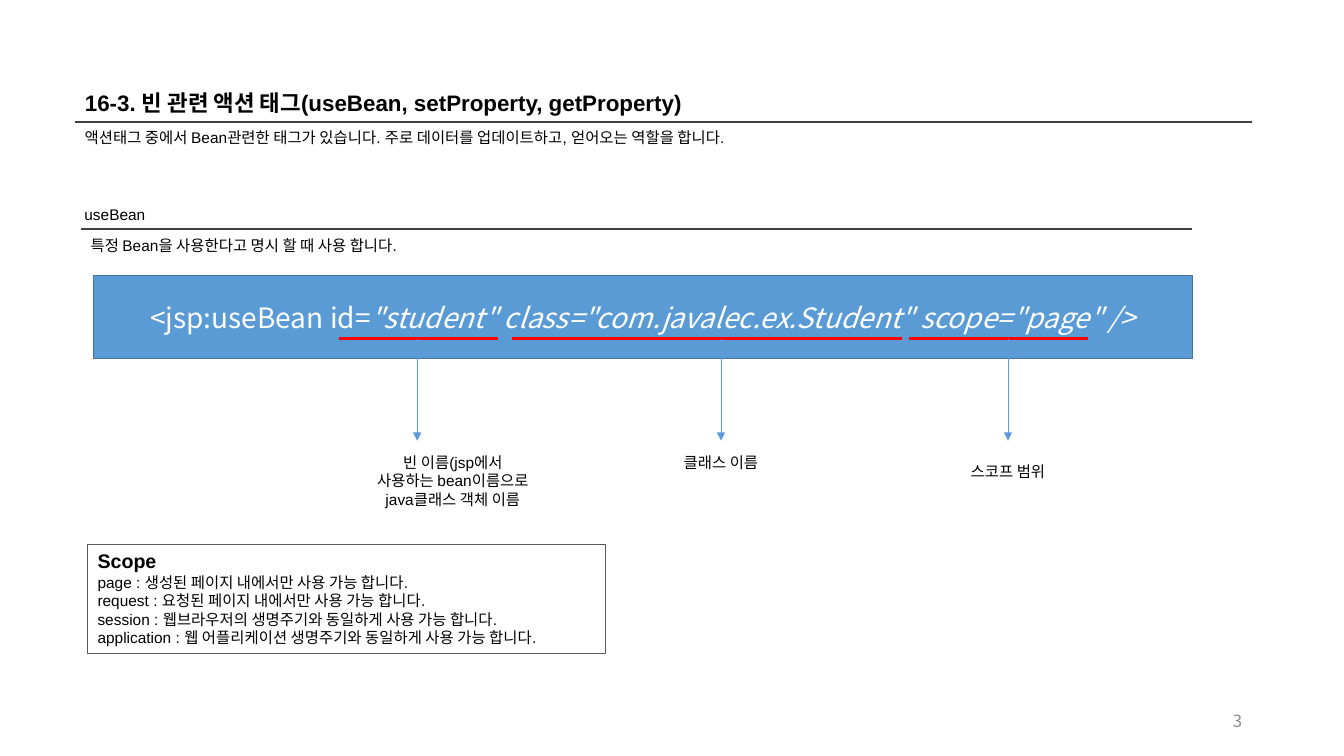
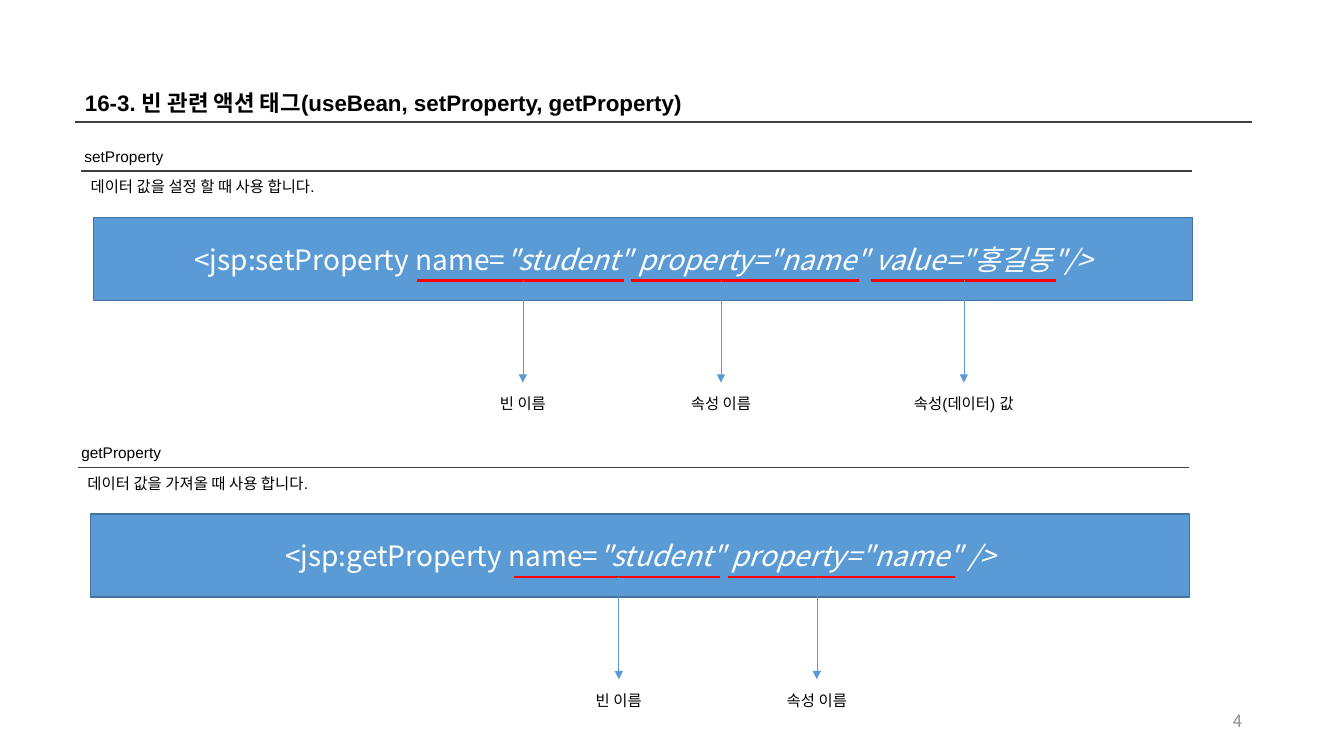
from lxml.etree import SubElement
from pptx import Presentation
from pptx.dml.color import RGBColor
from pptx.enum.shapes import MSO_CONNECTOR, MSO_SHAPE
from pptx.enum.text import MSO_ANCHOR, MSO_AUTO_SIZE, PP_ALIGN
from pptx.oxml.ns import qn
from pptx.util import Pt

BLACK = RGBColor(0x00, 0x00, 0x00)
WHITE = RGBColor(0xFF, 0xFF, 0xFF)
RULE = RGBColor(0x40, 0x40, 0x40)
BORDER = RGBColor(0x59, 0x59, 0x59)
GREY = RGBColor(0x8C, 0x8C, 0x8C)
BLUE = RGBColor(0x5B, 0x9B, 0xD5)
DARK_BLUE = RGBColor(0x43, 0x73, 0x9E)
RED = RGBColor(0xFF, 0x00, 0x00)
TEXT_FONT, CODE_FONT = "Arial", "Noto Sans CJK KR"

LEFT, WIDTH = 53.4, 841
LINE_HEIGHT = 21
TITLE = "16-3. 빈 관련 액션 태그(useBean, setProperty, getProperty)"

# Callout: underline start and end, arrow x, label width, label, label shift (x, y)
SLIDES = [
    {
        "intro": "액션태그 중에서 Bean관련한 태그가 있습니다. "
                 "주로 데이터를 업데이트하고, 얻어오는 역할을 합니다.",
        "sections": [
            {
                "left": 57.6, "top": 142.8, "name": "useBean",
                "use": "특정 Bean을 사용한다고 명시 할 때 사용 합니다.",
                "code": ("<jsp:useBean id=",
                         '"student" class="com.javalec.ex.Student" scope="page" />'),
                "callouts": [
                    (242, 355.5, 298, 123,
                     "빈 이름(jsp에서 사용하는 bean이름으로 java클래스 객체 이름", (25.5, 0)),
                    (366, 644, 515, 87, "클래스 이름", (0, 0)),
                    (649.5, 777.5, 720, 87, "스코프 범위", (0, 6.5)),
                ],
            },
        ],
        "scope": [
            "Scope",
            "page : 생성된 페이지 내에서만 사용 가능 합니다.",
            "request : 요청된 페이지 내에서만 사용 가능 합니다.",
            "session : 웹브라우저의 생명주기와 동일하게 사용 가능 합니다.",
            "application : 웹 어플리케이션 생명주기와 동일하게 사용 가능 합니다.",
        ],
    },
    {
        "sections": [
            {
                "left": 57.6, "top": 101.3, "name": "setProperty",
                "use": "데이터 값을 설정 할 때 사용 합니다.",
                "code": ("<jsp:setProperty name=",
                         '"student" property="name" value="홍길동"/>'),
                "callouts": [
                    (298, 445.5, 373.5, 73, "빈 이름", (0, 0)),
                    (451, 613.5, 515, 87, "속성 이름", (0, 0)),
                    (622, 754, 688.5, 109, "속성(데이터) 값", (0, 0)),
                ],
            },
            {
                "left": 55.4, "top": 313.2, "name": "getProperty",
                "use": "데이터 값을 가져올 때 사용 합니다.",
                "code": ("<jsp:getProperty name=", '"student" property="name" />'),
                "callouts": [
                    (367, 514, 442, 73, "빈 이름", (0, 0)),
                    (520, 682.5, 583.5, 87, "속성 이름", (0, 0)),
                ],
            },
        ],
    },
]


def style(font, size, color=BLACK, name=TEXT_FONT, bold=False):
    font.size, font.name, font.bold = Pt(size), name, bold
    font.color.rgb = color


def add_text(page, left, top, width, height, text, align=PP_ALIGN.LEFT):
    box = page.shapes.add_textbox(Pt(left), Pt(top), Pt(width), Pt(height))
    box.text_frame.word_wrap = True
    para = box.text_frame.paragraphs[0]
    para.text, para.alignment = text, align
    style(para.font, 11)
    return box


def add_line(page, x1, y1, x2, y2, color, weight, arrow=False):
    line = page.shapes.add_connector(
        MSO_CONNECTOR.STRAIGHT, Pt(x1), Pt(y1), Pt(x2), Pt(y2))
    line.line.color.rgb, line.line.width = color, Pt(weight)
    properties = line._element.spPr
    if arrow:
        SubElement(properties.find(qn("a:ln")), qn("a:tailEnd"), type="triangle")
    SubElement(properties, qn("a:effectLst"))


def add_rectangle(page, left, top, width, height, border, weight):
    box = page.shapes.add_shape(
        MSO_SHAPE.RECTANGLE, Pt(left), Pt(top), Pt(width), Pt(height))
    box.shadow.inherit = False
    box.line.color.rgb, box.line.width = border, Pt(weight)
    box.text_frame.word_wrap = True
    return box


def add_title(page):
    title = page.shapes.title
    title.left, title.top, title.width, title.height = (
        Pt(LEFT), Pt(59.8), Pt(WIDTH), Pt(26.7))
    frame = title.text_frame
    frame.text, frame.word_wrap = TITLE, True
    frame.auto_size, frame.vertical_anchor = MSO_AUTO_SIZE.NONE, MSO_ANCHOR.TOP
    para = frame.paragraphs[0]
    para.alignment = PP_ALIGN.LEFT
    style(para.font, 16, bold=True)
    add_line(page, LEFT, 87.2, LEFT + WIDTH, 87.2, RULE, 1)


def add_page_number(page, number):
    box = add_text(page, LEFT + WIDTH - 216, 500.5, 216, 28.8, "", PP_ALIGN.RIGHT)
    box.text_frame.vertical_anchor = MSO_ANCHOR.MIDDLE
    para = box.text_frame.paragraphs[0]
    span = para.add_run()
    span.text = str(number)
    style(span.font, 12, GREY, CODE_FONT)
    field = SubElement(para._p, qn("a:fld"), type="slidenum",
                       id="{B6F15528-21DE-4FAA-801E-634DDDAF4B2B}")
    field.extend(list(span._r))
    para._p.remove(span._r)


def add_section(page, section):
    """Heading, rule, purpose, code bar and the callouts below the bar."""
    left, top = section["left"], section["top"]
    rule_width = 794
    add_text(page, left - 4.4, top, WIDTH, LINE_HEIGHT, section["name"])
    add_line(page, left, top + 20.8, left + rule_width, top + 20.8, RULE, 1)
    add_text(page, left, top + 22, rule_width, LINE_HEIGHT, section["use"])

    bar_top = top + 54
    bar = add_rectangle(page, left + 9.4, bar_top, 784.8, 59.2, DARK_BLUE, 1)
    bar.fill.solid()
    bar.fill.fore_color.rgb = BLUE
    bar.text_frame.vertical_anchor = MSO_ANCHOR.MIDDLE
    para = bar.text_frame.paragraphs[0]
    para.alignment = PP_ALIGN.CENTER
    for text, italic in zip(section["code"], (False, True)):
        span = para.add_run()
        span.text = text
        style(span.font, 20, WHITE, CODE_FONT)
        span.font.italic = italic

    underline = bar_top + 45
    for start, end, *_ in section["callouts"]:
        add_line(page, start, underline, end, underline, RED, 2)
    for _, _, x, width, label, (shift_x, shift_y) in section["callouts"]:
        add_line(page, x, underline, x, underline + 73, BLUE, 0.5, arrow=True)
        add_text(page, x - width / 2 + shift_x, underline + 78 + shift_y,
                 width, LINE_HEIGHT, label, PP_ALIGN.CENTER)


def add_scope(page, lines):
    box = add_rectangle(page, 62.6, 388.8, 370, 77.8, BORDER, 0.75)
    box.fill.background()
    frame = box.text_frame
    frame.text, frame.vertical_anchor = "\n".join(lines), MSO_ANCHOR.TOP
    for index, para in enumerate(frame.paragraphs):
        para.alignment = PP_ALIGN.LEFT
        style(para.font, 11 if index else 14, bold=index == 0)


def main():
    deck = Presentation()
    deck.slide_width, deck.slide_height = Pt(960), Pt(540)
    for number, content in enumerate(SLIDES, start=3):
        page = deck.slides.add_slide(deck.slide_layouts[5])
        add_title(page)
        add_page_number(page, number)
        if "intro" in content:
            add_text(page, LEFT, 88, WIDTH, LINE_HEIGHT, content["intro"])
        for section in content["sections"]:
            add_section(page, section)
        if "scope" in content:
            add_scope(page, content["scope"])
    # The first slide carries number 3.
    deck.element.set("firstSlideNum", "3") if hasattr(deck, "element") else None
    deck.save("out.pptx")


if __name__ == "__main__":
    main()
